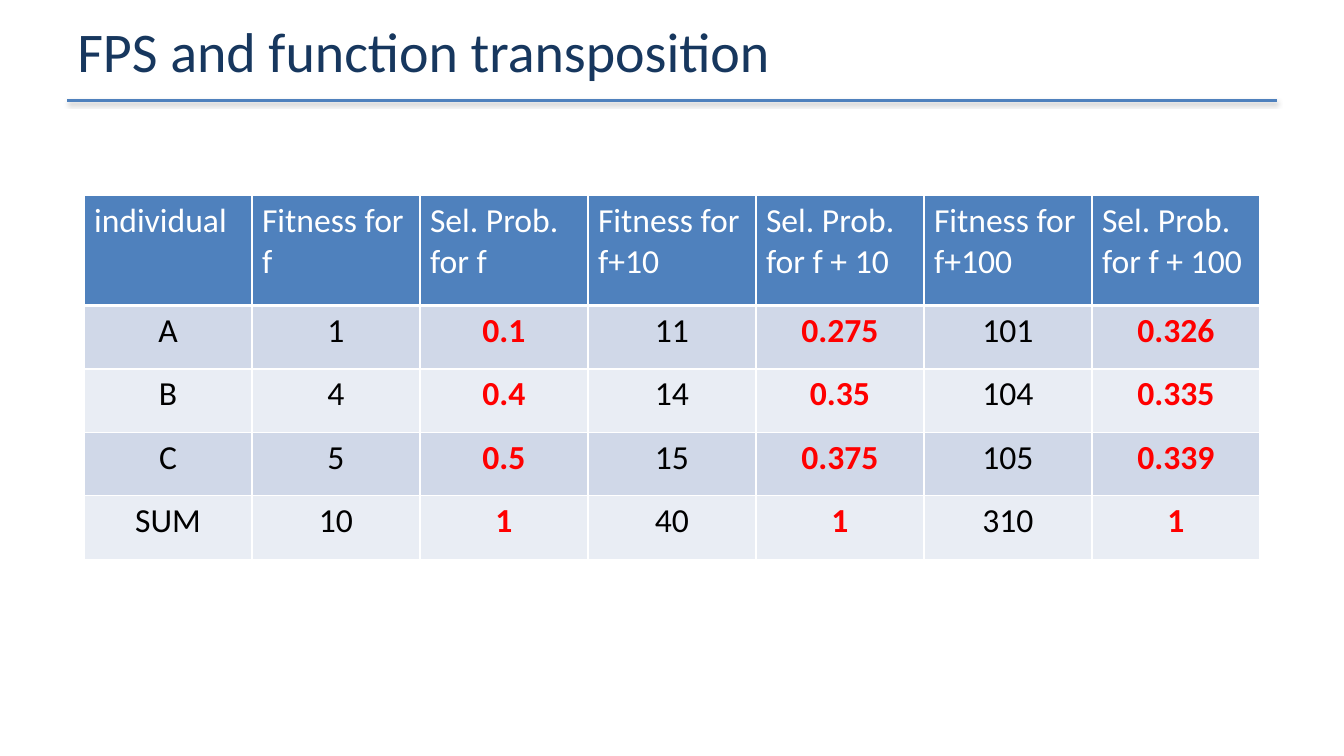
import pptx
import pptx.dml.color
import pptx.enum.shapes
import pptx.enum.text
import pptx.oxml
import pptx.oxml.ns
import pptx.util
from lxml import etree

TITLE = "FPS and function transposition"
HEADER = ["individual", "Fitness for f", "Sel. Prob. for f", "Fitness for f+10",
          "Sel. Prob. for f + 10", "Fitness for f+100", "Sel. Prob. for f + 100"]
BODY = [
    ["A", "1", "0.1", "11", "0.275", "101", "0.326"],
    ["B", "4", "0.4", "14", "0.35", "104", "0.335"],
    ["C", "5", "0.5", "15", "0.375", "105", "0.339"],
    ["SUM", "10", "1", "40", "1", "310", "1"],
]
PROBABILITY_COLUMNS = (2, 4, 6)

FONT = "Calibri"
NAVY = pptx.dml.color.RGBColor(0x17, 0x37, 0x5E)
BLUE = pptx.dml.color.RGBColor(0x4F, 0x81, 0xBD)
BANDS = (pptx.dml.color.RGBColor(0xD0, 0xD8, 0xE8), pptx.dml.color.RGBColor(0xE9, 0xED, 0xF4))
WHITE = pptx.dml.color.RGBColor(0xFF, 0xFF, 0xFF)
BLACK = pptx.dml.color.RGBColor(0, 0, 0)
RED = pptx.dml.color.RGBColor(0xFF, 0, 0)

Inches, Pt = pptx.util.Inches, pptx.util.Pt
WIDTH, HEIGHT = Inches(13.33), Inches(7.5)
MARGIN = WIDTH // 20
RULE_TOP = Inches(1)
TABLE_LEFT, TABLE_TOP = WIDTH // 16, Inches(1.94)
COLUMN_WIDTH = (WIDTH - 2 * TABLE_LEFT) // len(HEADER)
HEADER_HEIGHT, ROW_HEIGHT = Inches(1.09), Inches(0.63)
NAMESPACE = pptx.oxml.ns.nsdecls("a")


def add_span(para, text, size, color, bold=False):
    span = para.add_run()
    span.text = text
    span.font.name = FONT
    span.font.size = Pt(size)
    span.font.bold = bold
    span.font.color.rgb = color


def set_borders(cell, **widths):
    """Give the sides L, R, T and B white lines of the given widths in points."""
    properties = cell._tc.get_or_add_tcPr()
    for position, (side, width) in enumerate(widths.items()):
        properties.insert(position, pptx.oxml.parse_xml(
            f'<a:ln{side} {NAMESPACE} w="{Pt(width)}"><a:solidFill>'
            f'<a:srgbClr val="{WHITE}"/></a:solidFill></a:ln{side}>'))


def add_title(page):
    title = page.shapes.title
    title.left, title.top = MARGIN, Inches(0.02)
    title.width, title.height = WIDTH - 2 * MARGIN, Inches(0.95)
    frame = title.text_frame
    frame.margin_top = frame.margin_bottom = 0
    frame.vertical_anchor = pptx.enum.text.MSO_ANCHOR.MIDDLE
    frame.auto_size = pptx.enum.text.MSO_AUTO_SIZE.NONE
    para = frame.paragraphs[0]
    para.alignment = pptx.enum.text.PP_ALIGN.LEFT
    add_span(para, TITLE, 40, NAVY)


def add_rule(page):
    rule = page.shapes.add_connector(pptx.enum.shapes.MSO_CONNECTOR.STRAIGHT,
                                     MARGIN, RULE_TOP, WIDTH - MARGIN, RULE_TOP)
    rule.line.color.rgb = BLUE
    rule.line.width = Pt(2)
    qn = pptx.oxml.ns.qn
    effects = etree.SubElement(rule._element.spPr, qn("a:effectLst"))
    shadow = etree.SubElement(effects, qn("a:outerShdw"), blurRad=str(Pt(3.1)),
                              dist=str(Pt(1.6)), dir="5400000", rotWithShape="0")
    color = etree.SubElement(shadow, qn("a:srgbClr"), val=str(BLACK))
    etree.SubElement(color, qn("a:alpha"), val="38000")


def add_fitness_table(page):
    rows = [HEADER] + BODY
    heights = [HEADER_HEIGHT] + [ROW_HEIGHT] * len(BODY)
    table = page.shapes.add_table(len(rows), len(HEADER), TABLE_LEFT, TABLE_TOP,
                                  COLUMN_WIDTH * len(HEADER), sum(heights)).table
    for column in table.columns:
        column.width = COLUMN_WIDTH
    for r, (texts, height) in enumerate(zip(rows, heights)):
        table.rows[r].height = height
        for c, text in enumerate(texts):
            cell = table.cell(r, c)
            cell.fill.solid()
            para = cell.text_frame.paragraphs[0]
            if r == 0:
                cell.fill.fore_color.rgb = BLUE
                add_span(para, text, 24, WHITE)
            else:
                cell.fill.fore_color.rgb = BANDS[(r - 1) % 2]
                para.alignment = pptx.enum.text.PP_ALIGN.CENTER
                probability = c in PROBABILITY_COLUMNS
                add_span(para, text, 24, RED if probability else BLACK, probability)
            set_borders(cell, L=1, R=1, T=3 if r == 1 else 1, B=3 if r == 0 else 1)


def main():
    deck = pptx.Presentation()
    deck.slide_width, deck.slide_height = WIDTH, HEIGHT
    page = deck.slides.add_slide(deck.slide_layouts.get_by_name("Title Only"))
    add_title(page)
    add_rule(page)
    add_fitness_table(page)
    deck.save("out.pptx")


if __name__ == "__main__":
    main()
